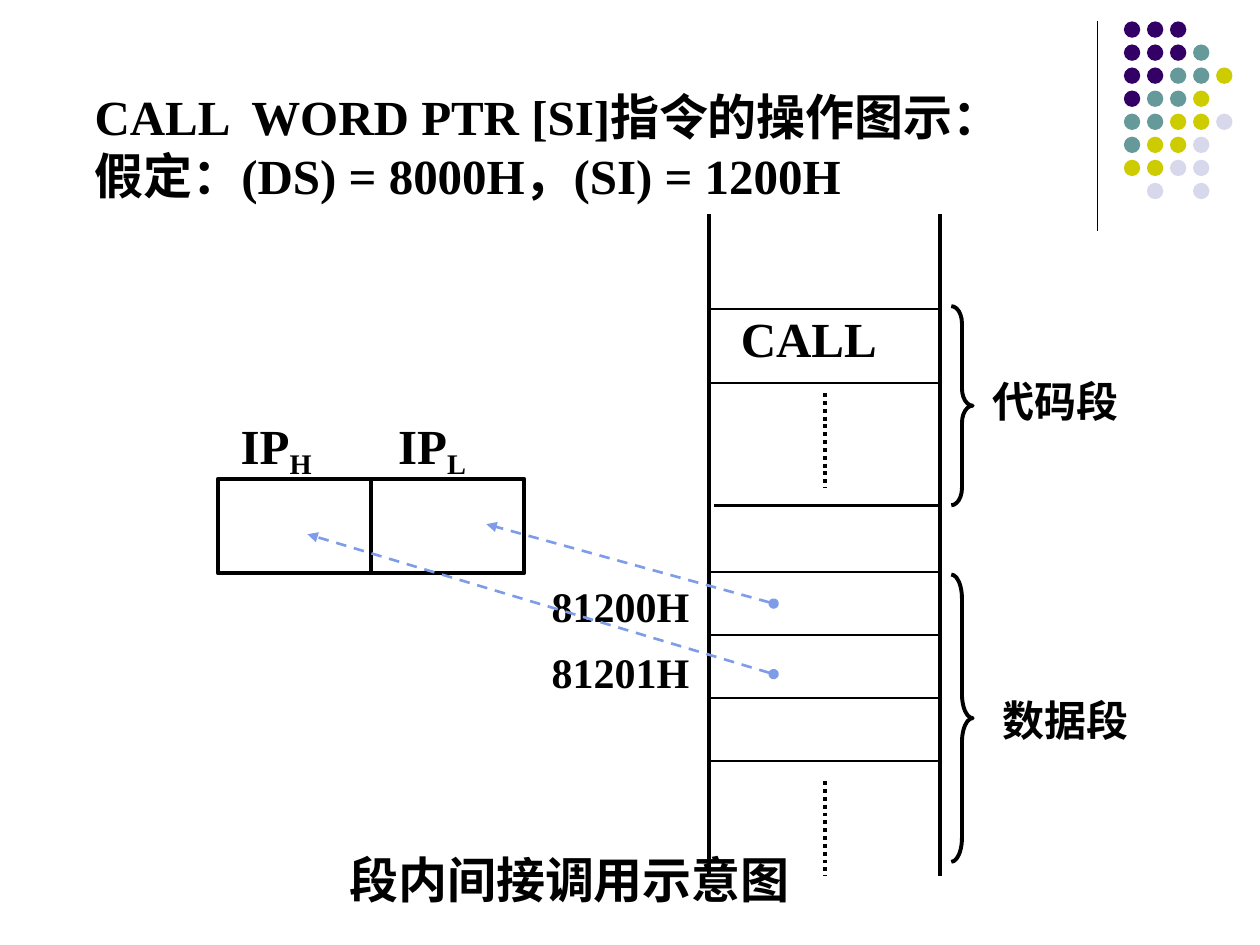
from typing import NamedTuple, Optional

from lxml.etree import SubElement
from pptx import Presentation
from pptx.dml.color import RGBColor
from pptx.enum.dml import MSO_LINE
from pptx.enum.shapes import MSO_CONNECTOR, MSO_SHAPE
from pptx.enum.text import MSO_ANCHOR, MSO_AUTO_SIZE, PP_ALIGN
from pptx.oxml.ns import qn
from pptx.util import Inches, Pt

BLACK, ARROW_BLUE = "000000", "7E9CE8"
DOT_COLORS = {"P": "330066", "T": "669999", "Y": "CCCC00", "L": "D8D8EC"}
DOT_ROWS = ["PPP", "PPPT", "PPTTY", "PTTY", "TTYYL", "TYYL", "YYLL", " L L"]
DOT_SIZE, DOT_PITCH = 0.13, 0.183
MEMORY_LEFT, MEMORY_RIGHT, MEMORY_TOP, MEMORY_BOTTOM = 5.63, 7.46, 1.7, 6.95
CELL_BORDERS = [2.45, 3.04, 4.54, 5.04, 5.54, 6.04]


class Label(NamedTuple):
    text: str
    left: float
    top: float
    width: float
    height: float
    size: int = 24
    align: PP_ALIGN = PP_ALIGN.LEFT


class Line(NamedTuple):
    x1: float
    y1: float
    x2: float
    y2: float
    width: float = 2.25
    color: str = BLACK
    dash: Optional[MSO_LINE] = None
    pointer: bool = False


class Brace(NamedTuple):
    top: float
    height: float
    curl: float


LABELS = [
    Label("CALL", 5.88, 2.45, 1.33, 0.47, 28),
    Label("代码段", 7.88, 2.98, 1.02, 0.4),
    Label("数据段", 7.96, 5.51, 1.1, 0.4),
    Label("81200H", 4.33, 4.61, 1.14, 0.4, align=PP_ALIGN.RIGHT),
    Label("81201H", 4.33, 5.13, 1.14, 0.4, align=PP_ALIGN.RIGHT),
    Label("段内间接调用示意图", 2.16, 6.74, 4.72, 0.47, 28, PP_ALIGN.CENTER),
]
MEMORY_LINES = [
    *(Line(x, MEMORY_TOP, x, MEMORY_BOTTOM) for x in (MEMORY_LEFT, MEMORY_RIGHT)),
    *(Line(MEMORY_LEFT, y, MEMORY_RIGHT, y, 1) for y in CELL_BORDERS),
    *(Line(6.55, y, 6.55, y + 0.75, dash=MSO_LINE.ROUND_DOT) for y in (3.12, 6.2)),
    Line(5.67, 4.01, 7.48, 4.01, 1.5),
]
POINTERS = [
    Line(6.14, 4.79, 3.86, 4.16, 1.5, ARROW_BLUE, MSO_LINE.DASH, True),
    Line(6.14, 5.35, 2.44, 4.24, 1.5, ARROW_BLUE, MSO_LINE.DASH, True),
]
BRACES = [Brace(2.43, 1.58, 0.8), Brace(4.56, 2.28, 1.12)]


def rgb(color: str) -> RGBColor:
    return RGBColor.from_string(color)


def add_run(paragraph, text: str, size: int, baseline: int = 0) -> None:
    run = paragraph.add_run()
    run.text = text
    run.font.name = "Times New Roman"
    run.font.size = Pt(size)
    run.font.bold = True
    run.font.color.rgb = rgb(BLACK)
    if baseline:
        run.font._element.set("baseline", str(baseline * 1000))


def write(frame, text: str, *, size: int = 24, align=PP_ALIGN.LEFT) -> None:
    """Fill a frame without margins, one paragraph per line of text."""
    frame.word_wrap = True
    frame.auto_size = MSO_AUTO_SIZE.NONE
    frame.vertical_anchor = MSO_ANCHOR.TOP
    frame.margin_left = frame.margin_right = 0
    frame.margin_top = frame.margin_bottom = 0
    for number, content in enumerate(text.split("\n") if text else []):
        paragraph = frame.add_paragraph() if number else frame.paragraphs[0]
        paragraph.alignment = align
        add_run(paragraph, content, size)


def add_label(slide, label: Label):
    box = slide.shapes.add_textbox(*map(Inches, label[1:5]))
    write(box.text_frame, label.text, size=label.size, align=label.align)
    return box


def add_line(slide, line: Line):
    connector = slide.shapes.add_connector(
        MSO_CONNECTOR.STRAIGHT, *map(Inches, line[:4]))
    connector.line.width = Pt(line.width)
    connector.line.color.rgb = rgb(line.color)
    if line.dash:
        connector.line.dash_style = line.dash
    if line.pointer:
        outline = connector.line._get_or_add_ln()
        SubElement(outline, qn("a:headEnd"), type="oval")
        SubElement(outline, qn("a:tailEnd"), type="triangle")
    SubElement(connector._element.spPr, qn("a:effectLst"))
    return connector


def add_outline(slide, kind, left: float, top: float, width: float, height: float):
    shape = slide.shapes.add_shape(kind, *map(Inches, (left, top, width, height)))
    shape.shadow.inherit = False
    shape.fill.background()
    shape.line.color.rgb = rgb(BLACK)
    shape.line.width = Pt(2.25)
    return shape


def add_dots(slide) -> None:
    for row, codes in enumerate(DOT_ROWS):
        for column, code in enumerate(codes):
            if code in DOT_COLORS:
                dot = add_outline(slide, MSO_SHAPE.OVAL, 8.92 + column * DOT_PITCH,
                                  0.17 + row * DOT_PITCH, DOT_SIZE, DOT_SIZE)
                dot.fill.solid()
                dot.fill.fore_color.rgb = rgb(DOT_COLORS[code])
                dot.line.fill.background()


def add_ip_register(slide) -> None:
    register = add_outline(slide, MSO_SHAPE.RECTANGLE, 1.73, 3.8, 2.43, 0.75)
    divider = add_line(slide, Line(2.94, 3.8, 2.94, 4.55))
    divider.begin_connect(register, 0)
    divider.end_connect(register, 2)

    halves = add_label(slide, Label("", 1.91, 3.3, 2.18, 0.51)).text_frame.paragraphs[0]
    tabs = SubElement(halves._p.get_or_add_pPr(), qn("a:tabLst"))
    SubElement(tabs, qn("a:tab"), pos=str(Inches(1.25)), algn="l")
    for name, half in (("IP", "H"), ("\tIP", "L")):
        add_run(halves, name, 28)
        add_run(halves, half, 28, baseline=-20)


def main() -> None:
    deck = Presentation()
    deck.slide_width, deck.slide_height = Inches(10), Inches(7.5)
    slide = deck.slides.add_slide(deck.slide_layouts[5])

    title = slide.shapes.title
    title.left, title.top = Inches(0.75), Inches(0.69)
    title.width, title.height = Inches(8.82), Inches(0.93)
    write(title.text_frame, "CALL  WORD PTR [SI]指令的操作图示：\n"
          "假定：(DS) = 8000H，(SI) = 1200H", size=28)

    add_line(slide, Line(8.71, 0.17, 8.71, 1.83, 0.75))
    add_dots(slide)
    for line in MEMORY_LINES:
        add_line(slide, line)
    add_ip_register(slide)
    for brace in BRACES:
        shape = add_outline(slide, MSO_SHAPE.RIGHT_BRACE, 7.55, brace.top, 0.17, brace.height)
        shape.adjustments[0] = brace.curl
    for label in LABELS:
        add_label(slide, label)
    for pointer in POINTERS:
        add_line(slide, pointer)

    deck.save("out.pptx")


if __name__ == "__main__":
    main()
